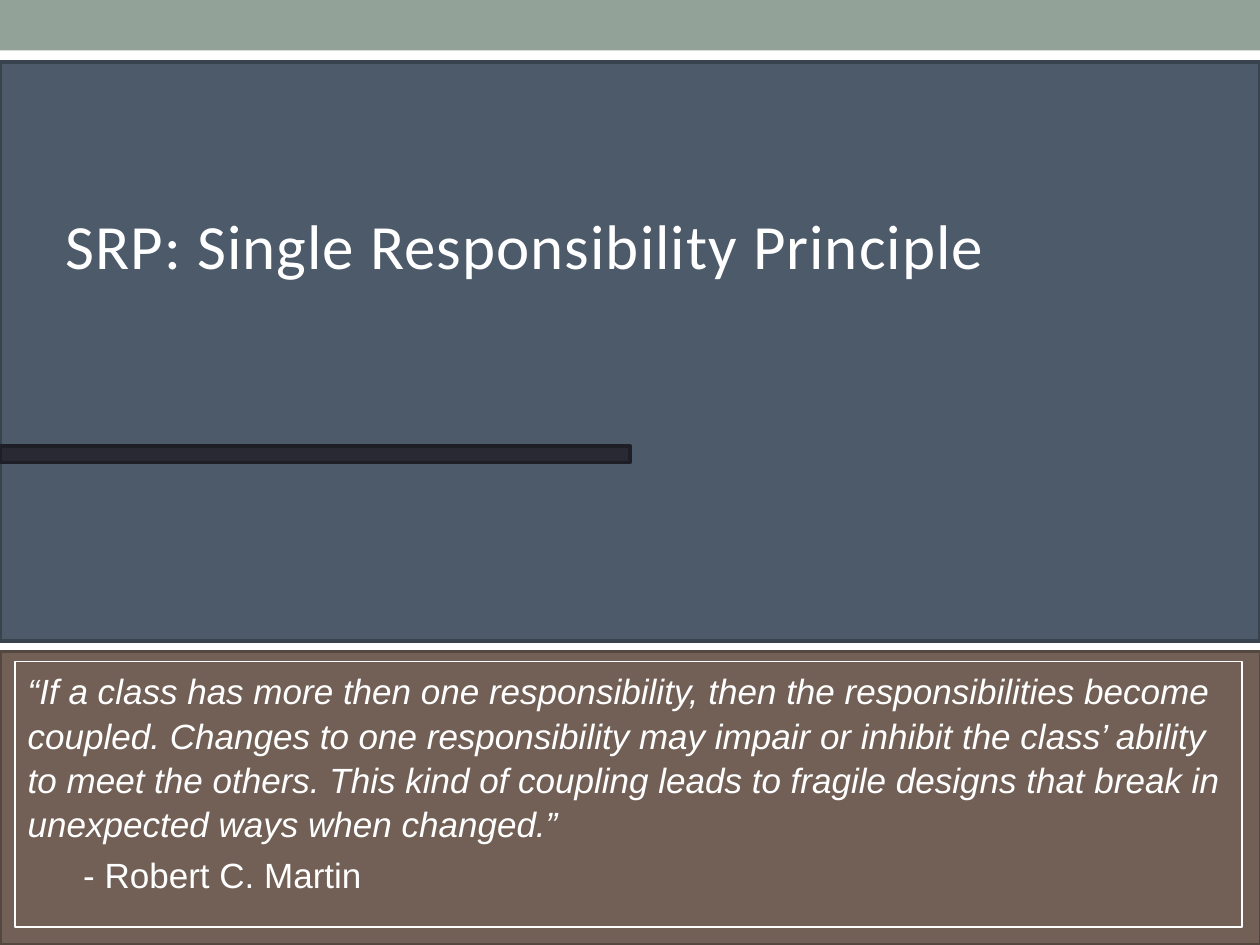
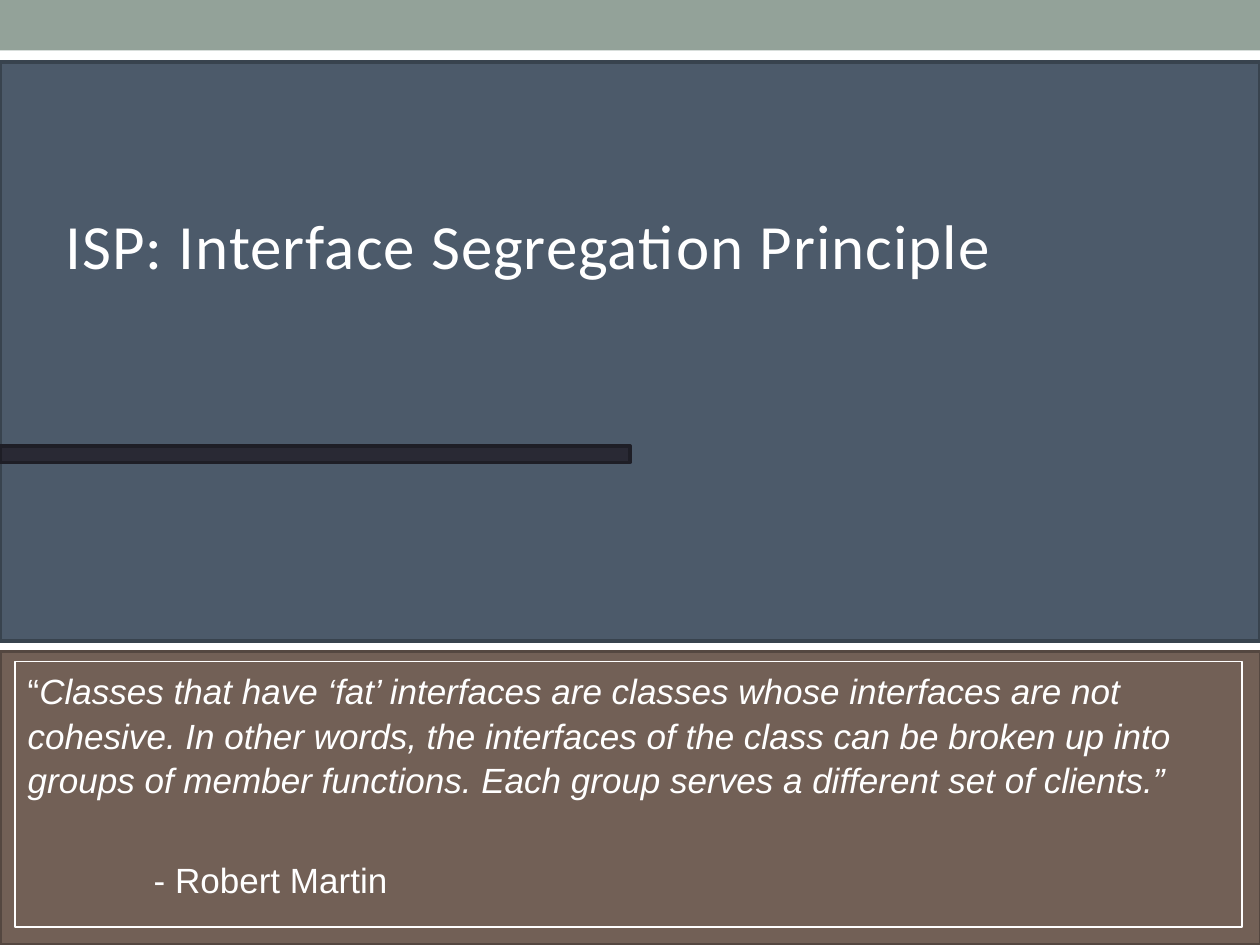
from pptx import Presentation
from pptx.dml.color import RGBColor
from pptx.enum import shapes, text
from pptx.oxml.ns import qn
from pptx.util import Inches, Pt

WHITE = "FFFFFF"
# left, top, width, height, fill, line
BANDS = [
    (0, 0, 10, 0.4, "93A299", None),
    (0, 0.49, 10, 4.6, "4C5A6A", "38434E"),
    (0, 5.17, 10.01, 2.33, "726056", "544740"),
    (0, 3.54, 5, 0.13, "292934", "1E1E26"),
]
TITLE_BOX = (0.42, 1.58, 9.42, 0.71)
QUOTE_BOX = (0.12, 5.25, 9.74, 2.11)

# title, quote as (text, italic) runs, author, author indent, gap above author
SLIDES = [
    ("SRP: Single Responsibility Principle",
     [("“If a class has more then one responsibility, then the "
       "responsibilities become coupled. Changes to one responsibility may "
       "impair or inhibit the class’ ability to meet the others. This kind of "
       "coupling leads to fragile designs that break in unexpected ways when "
       "changed.”", True)],
     "- Robert C. Martin", 0.44, 4),
    ("ISP: Interface Segregation Principle",
     [("“", False),
      ("Classes that have ‘fat’ interfaces are classes whose interfaces are "
       "not cohesive. In other words, the interfaces of the class can be "
       "broken up into groups of member functions. Each group serves a "
       "different set of clients.”", True)],
     "- Robert Martin", 1, 32),
]


def color(code):
    return RGBColor.from_string(code)


def style(font, name, size):
    font.name, font.size = name, Pt(size)
    font.color.rgb = color(WHITE)


def place(shape, box):
    """Move a placeholder to the box and in front of the bands."""
    shape.left, shape.top, shape.width, shape.height = map(Inches, box)
    shape.element.getparent().append(shape.element)
    shape.text_frame.word_wrap = True


def add_band(slide, left, top, width, height, fill, line):
    band = slide.shapes.add_shape(
        shapes.MSO_SHAPE.RECTANGLE,
        *map(Inches, (left, top, width, height)))
    band.shadow.inherit = False
    band.fill.solid()
    band.fill.fore_color.rgb = color(fill)
    if line:
        band.line.color.rgb = color(line)
        band.line.width = Pt(2.08)
    else:
        band.line.fill.background()


def set_title(slide, words, box):
    title = slide.shapes.title
    place(title, box)
    frame = title.text_frame
    frame.text = words
    frame.auto_size = text.MSO_AUTO_SIZE.SHAPE_TO_FIT_TEXT
    frame.vertical_anchor = text.MSO_ANCHOR.MIDDLE
    para = frame.paragraphs[0]
    para.alignment = text.PP_ALIGN.LEFT
    style(para.runs[0].font, "Calibri", 36)
    for props in title.element.iter(qn("a:rPr")):
        props.set("spc", "60")


def fill_para(para, runs, indent, gap):
    """Write an unbulleted paragraph of (text, italic) runs."""
    para.line_spacing = 1.05
    para.space_before = Pt(gap)
    props = para._p.get_or_add_pPr()
    props.set("marL", str(Inches(indent)))
    props.set("indent", "0")
    props.append(props.makeelement(qn("a:buNone"), {}))
    for words, italic in runs:
        run = para.add_run()
        run.text = words
        style(run.font, "Arial", 20)
        run.font.italic = italic


def set_quote(slide, quote, author, indent, gap, box):
    body = slide.placeholders[1]
    place(body, box)
    body.line.color.rgb = color(WHITE)
    body.line.width = Pt(1)
    frame = body.text_frame
    frame.auto_size = text.MSO_AUTO_SIZE.NONE
    frame.vertical_anchor = text.MSO_ANCHOR.TOP
    fill_para(frame.paragraphs[0], quote, 0, 0)
    fill_para(frame.add_paragraph(), [(author, False)], indent, gap)


def add_section(deck, title, quote, author, indent, gap):
    slide = deck.slides.add_slide(deck.slide_layouts[1])
    for band in BANDS:
        add_band(slide, *band)
    set_title(slide, title, TITLE_BOX)
    set_quote(slide, quote, author, indent, gap, QUOTE_BOX)


def main():
    deck = Presentation()
    deck.slide_width, deck.slide_height = Inches(10), Inches(7.5)
    for section in SLIDES:
        add_section(deck, *section)
    deck.save("out.pptx")


if __name__ == "__main__":
    main()
